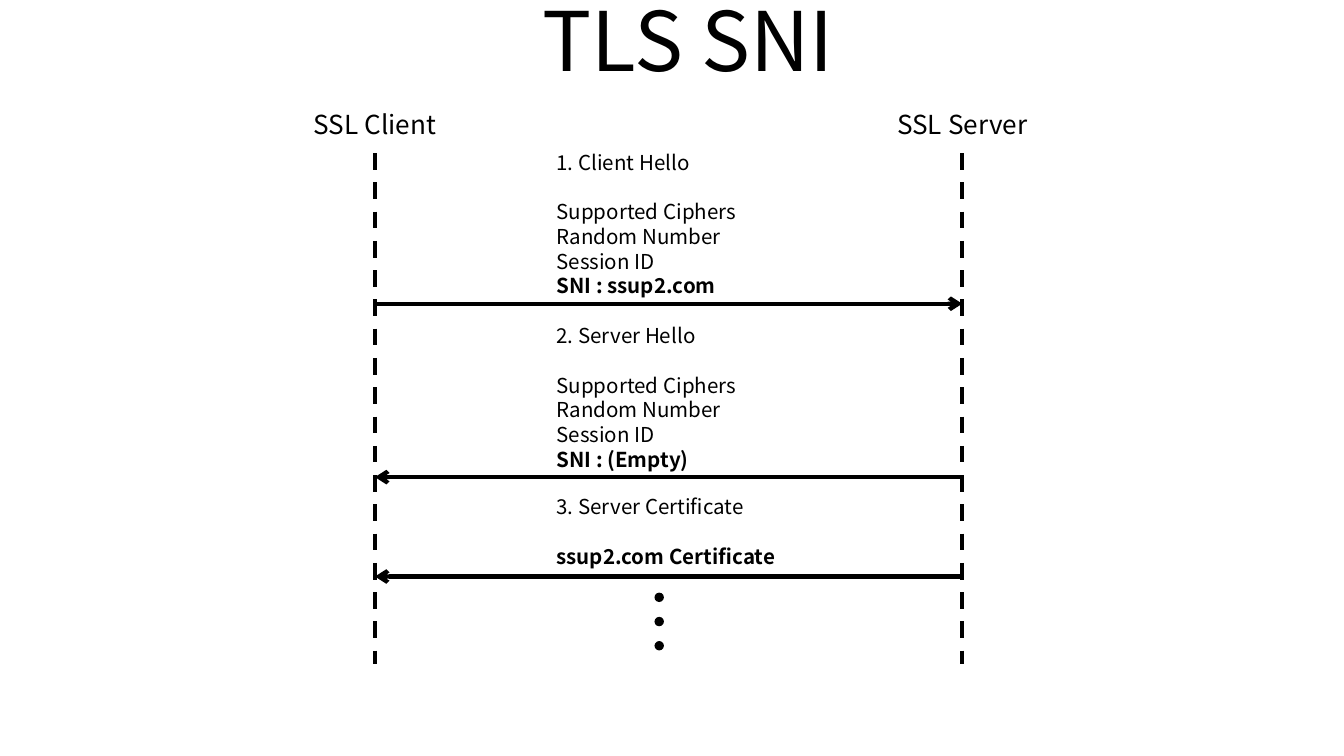
import pptx
import pptx.util
import pptx.dml.color
import pptx.enum.dml
import pptx.enum.shapes
import pptx.enum.text
import pptx.oxml
import pptx.oxml.ns

FONT = "Noto Sans CJK KR"
INK = "000000"
WIDE = 10
HIGH = WIDE * 9 / 16
LINE = 13.3  # height of one message line, in points
ALIGN = pptx.enum.text.PP_ALIGN
inch = pptx.util.Inches


def paint(color, value):
    color.rgb = pptx.dml.color.RGBColor.from_string(value)


def style(par, size, align, bold=False):
    par.alignment = align
    for run in par.runs:
        run.font.name = FONT
        run.font.size = pptx.util.Pt(size)
        run.font.bold = bold
        paint(run.font.color, INK)


def add_text(slide, box, lines, size, align, strong=(), gap=None):
    """Write lines in a box; gap is the index of a line set apart from the one above."""
    frame = slide.shapes.add_textbox(*map(inch, box)).text_frame
    frame.word_wrap = True
    frame.auto_size = pptx.enum.text.MSO_AUTO_SIZE.SHAPE_TO_FIT_TEXT
    frame.vertical_anchor = pptx.enum.text.MSO_ANCHOR.MIDDLE
    frame.margin_left = frame.margin_right = inch(0.07)
    frame.margin_top = frame.margin_bottom = inch(0.04)
    frame.text = "\n".join(lines)
    for i, par in enumerate(frame.paragraphs):
        style(par, size, align, lines[i] in strong)
        if i == gap:
            par.space_before = pptx.util.Pt(LINE)


def add_line(slide, start, end, dash=False, arrow=False):
    kind = pptx.enum.shapes.MSO_CONNECTOR.STRAIGHT
    link = slide.shapes.add_connector(kind, *map(inch, start + end))
    paint(link.line.color, INK)
    link.line.width = pptx.util.Pt(2.25)
    if dash:
        link.line.dash_style = pptx.enum.dml.MSO_LINE.DASH
    props = link._element.spPr
    if arrow:
        tail = pptx.oxml.parse_xml(
            f'<a:tailEnd {pptx.oxml.ns.nsdecls("a")} type="arrow"/>')
        link.line._get_or_add_ln().append(tail)
    props.append(pptx.oxml.parse_xml(
        f'<a:effectLst {pptx.oxml.ns.nsdecls("a")}/>'))


def add_title(slide, box, text):
    title = slide.shapes.title
    title.left, title.top, title.width, title.height = map(inch, box)
    frame = title.text_frame
    frame.text = text
    frame.vertical_anchor = pptx.enum.text.MSO_ANCHOR.MIDDLE
    style(frame.paragraphs[0], 44, ALIGN.CENTER)


def add_party(slide, box, name):
    """Name at the top of the box, dashed lifeline down its middle."""
    left, top, width, height = box
    mid = left + width / 2
    add_text(slide, (left, top, width, 0.31), [name], 14, ALIGN.CENTER)
    add_line(slide, (mid, top + 0.37), (mid, top + height), dash=True)
    return mid


def add_step(slide, box, lines, start, end, foot):
    """Message text with its last line bold, and the arrow below it."""
    add_text(slide, box, lines, 11, ALIGN.LEFT, strong=lines[-1:], gap=1)
    add_line(slide, (start, foot), (end, foot), arrow=True)


def add_dots(slide, box, count):
    """Equal dots spread down the box."""
    left, top, size, height = box
    pitch = (height - size) / (count - 1)
    oval = pptx.enum.shapes.MSO_SHAPE.OVAL
    for i in range(count):
        dot = slide.shapes.add_shape(
            oval, *map(inch, (left, top + i * pitch, size, size)))
        dot.shadow.inherit = False
        dot.fill.solid()
        paint(dot.fill.fore_color, INK)
        dot.line.fill.background()


def main():
    deck = pptx.Presentation()
    deck.slide_width, deck.slide_height = inch(WIDE), inch(HIGH)
    slide = deck.slides.add_slide(deck.slide_layouts[5])

    add_title(slide, (0.62, -0.18, 0.9 * WIDE, 0.94), "TLS SNI")

    # Both parties
    top, tall = 0.77, 4.17
    client = add_party(slide, (2, top, 1.58, tall), "SSL Client")
    server = add_party(slide, (6.25, top, 1.82, tall), "SSL Server")

    # Messages, from top to bottom
    offer = ["Supported Ciphers", "Random Number", "Session ID"]
    steps = [
        (1.07, 1.19, 2.26, client, server,
         ["1. Client Hello", *offer, "SNI : ssup2.com"]),
        (2.36, 1.19, 3.55, server, client,
         ["2. Server Hello", *offer, "SNI : (Empty)"]),
        (3.64, 0.63, 4.29, server, client,
         ["3. Server Certificate", "ssup2.com Certificate"]),
    ]
    for y, height, foot, start, end, lines in steps:
        add_step(slide, (4.07, y, 1.81, height), lines, start, end, foot)

    # More messages follow
    add_dots(slide, (4.87, 4.41, 0.07, 0.43), 3)

    deck.save("out.pptx")


if __name__ == "__main__":
    main()
